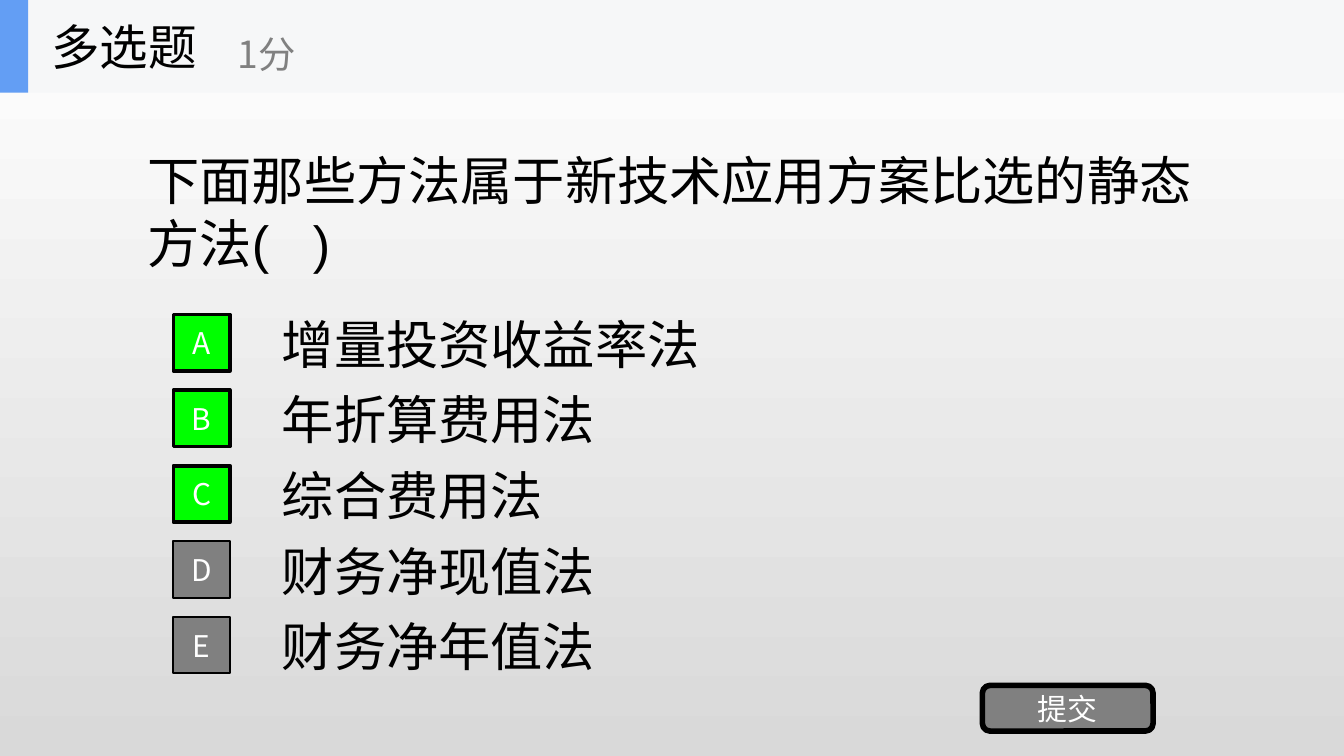
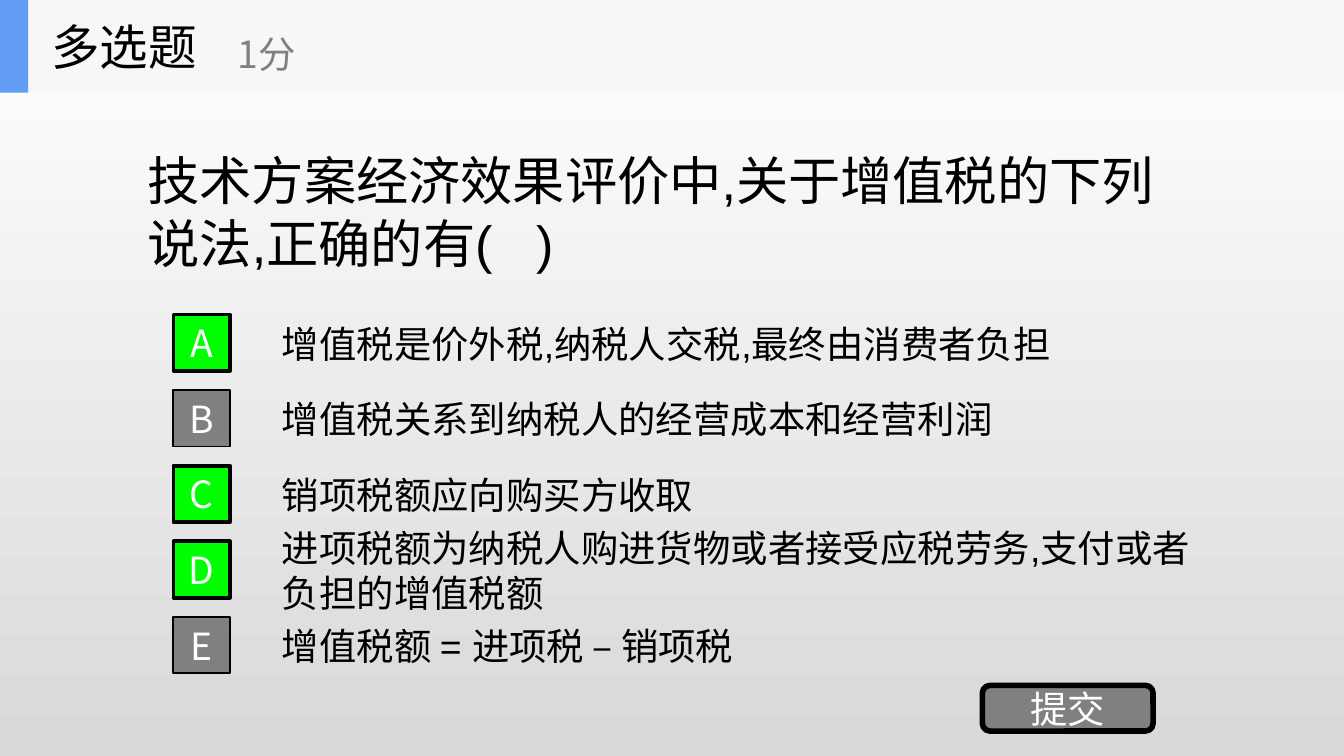
from dataclasses import dataclass

from pptx import Presentation
from pptx.dml.color import RGBColor as RGB
from pptx.enum.shapes import MSO_SHAPE as SHAPE
from pptx.enum.text import MSO_ANCHOR, MSO_AUTO_SIZE, PP_ALIGN
from pptx.util import Inches, Pt


@dataclass(frozen=True)
class Theme:
    black: RGB = RGB.from_string("000000")
    white: RGB = RGB.from_string("FFFFFF")
    gray: RGB = RGB.from_string("808080")
    backdrop_end: RGB = RGB.from_string("D9D9D9")
    correct: RGB = RGB.from_string("00FF00")
    band: RGB = RGB.from_string("F6F7F8")
    accent: RGB = RGB.from_string("639EF4")
    body_font: str = "Arial"
    label_font: str = "Noto Sans CJK SC"
    title_size: int = 26
    score_size: int = 20
    question_size: int = 28


THEME = Theme()
SLIDE_WIDTH = 10
SLIDE_HEIGHT = SLIDE_WIDTH * 9 / 16
BAND_HEIGHT = 0.69
OPTION_TOP, OPTION_STEP = 2.29, SLIDE_HEIGHT / 10

QUIZZES = [
    {
        "question": "下面那些方法属于新技术应用方案比选的静态方法(   )",
        "options": ["增量投资收益率法", "年折算费用法", "综合费用法",
                    "财务净现值法", "财务净年值法"],
        "answers": "ABC",
        "option_size": 28,
        "label_size": 16,
    },
    {
        "question": "技术方案经济效果评价中,关于增值税的下列说法,正确的有(   )",
        "options": ["增值税是价外税,纳税人交税,最终由消费者负担",
                    "增值税关系到纳税人的经营成本和经营利润",
                    "销项税额应向购买方收取",
                    "进项税额为纳税人购进货物或者接受应税劳务,支付或者负担的增值税额",
                    "增值税额 = 进项税 – 销项税"],
        "answers": "ACD",
        "option_size": 20,
        "label_size": 20,
    },
]


def write(shape, text, size, color, font, align=PP_ALIGN.LEFT, wrap=True):
    """Put one vertically centred paragraph into a shape."""
    frame = shape.text_frame
    frame.text = text
    frame.word_wrap = wrap
    frame.auto_size = MSO_AUTO_SIZE.NONE
    frame.vertical_anchor = MSO_ANCHOR.MIDDLE
    paragraph = frame.paragraphs[0]
    paragraph.alignment = align
    paragraph.font.name = font
    paragraph.font.size = Pt(size)
    paragraph.font.color.rgb = color


def add_box(slide, kind, place, fill, line_width=0):
    box = slide.shapes.add_shape(kind, *map(Inches, place))
    box.shadow.inherit = False
    box.fill.solid()
    box.fill.fore_color.rgb = fill
    if line_width:
        box.line.color.rgb = THEME.black
        box.line.width = Pt(line_width)
    else:
        box.line.fill.background()
    return box


prs = Presentation()
prs.slide_width, prs.slide_height = Inches(SLIDE_WIDTH), Inches(SLIDE_HEIGHT)
title_only = prs.slide_layouts[5]

backdrop = prs.slide_master.background.fill
backdrop.gradient()
backdrop.gradient_angle = 270
for stop, color in zip(backdrop.gradient_stops, (THEME.white, THEME.backdrop_end)):
    stop.color.rgb = color

for quiz in QUIZZES:
    slide = prs.slides.add_slide(title_only)
    label_size = quiz["label_size"]

    question = slide.shapes.add_textbox(*map(Inches, (1, BAND_HEIGHT, 8, 1.76)))
    write(question, quiz["question"], THEME.question_size, THEME.black, THEME.body_font)

    for row, (letter, text) in enumerate(zip("ABCDE", quiz["options"])):
        top = OPTION_TOP + row * OPTION_STEP
        option = slide.shapes.add_textbox(*map(Inches, (2, top, 7, 0.53)))
        write(option, text, quiz["option_size"], THEME.black, THEME.body_font)

        is_correct = letter in quiz["answers"]
        marker = add_box(slide, SHAPE.RECTANGLE, (1.29, top + 0.05, 0.42, 0.42),
                         THEME.correct if is_correct else THEME.gray,
                         2 if is_correct else 1)
        marker.text_frame.margin_left = marker.text_frame.margin_right = 0
        write(marker, letter, label_size, THEME.white, THEME.label_font, PP_ALIGN.CENTER)

    submit = add_box(slide, SHAPE.ROUNDED_RECTANGLE, (7.31, 5.1, 1.27, 0.34), THEME.gray, 3)
    write(submit, "提交", label_size, THEME.white, THEME.label_font, PP_ALIGN.CENTER)

    add_box(slide, SHAPE.RECTANGLE, (0, 0, SLIDE_WIDTH, BAND_HEIGHT), THEME.band)
    accent = add_box(slide, SHAPE.RECTANGLE, (0, 0, 0.21, BAND_HEIGHT), THEME.accent)

    title = slide.shapes.title
    title.left, title.top, title.width, title.height = map(Inches, (0.28, 0, 2.08, BAND_HEIGHT))
    write(title, "多选题", THEME.title_size, THEME.black, THEME.label_font, wrap=False)
    accent.element.addnext(title.element)  # raise the title above the band

    score = slide.shapes.add_textbox(*map(Inches, (1.67, 0.12, 2.5, 0.56)))
    write(score, "1分", THEME.score_size, THEME.gray, THEME.label_font, wrap=False)

prs.save("out.pptx")
